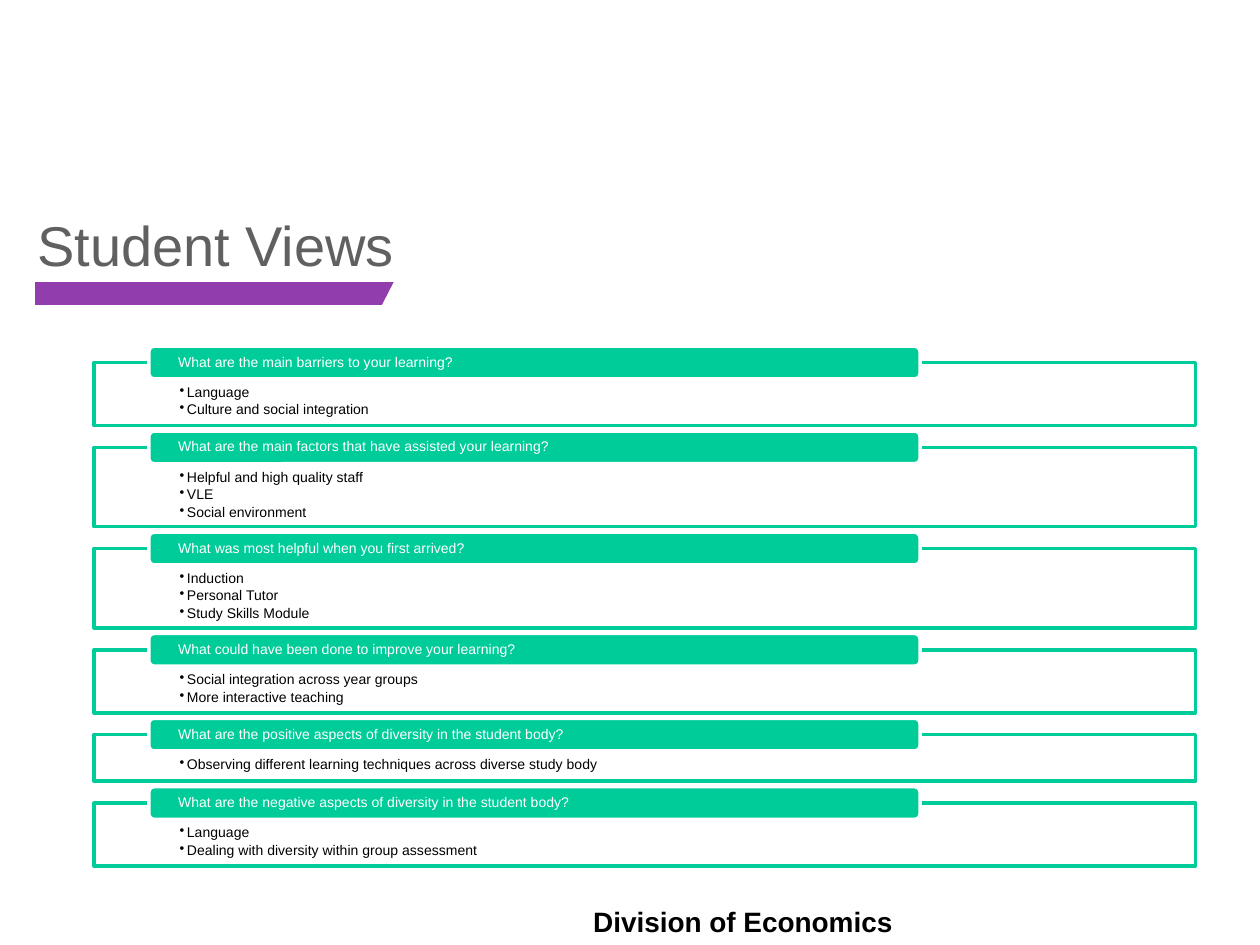
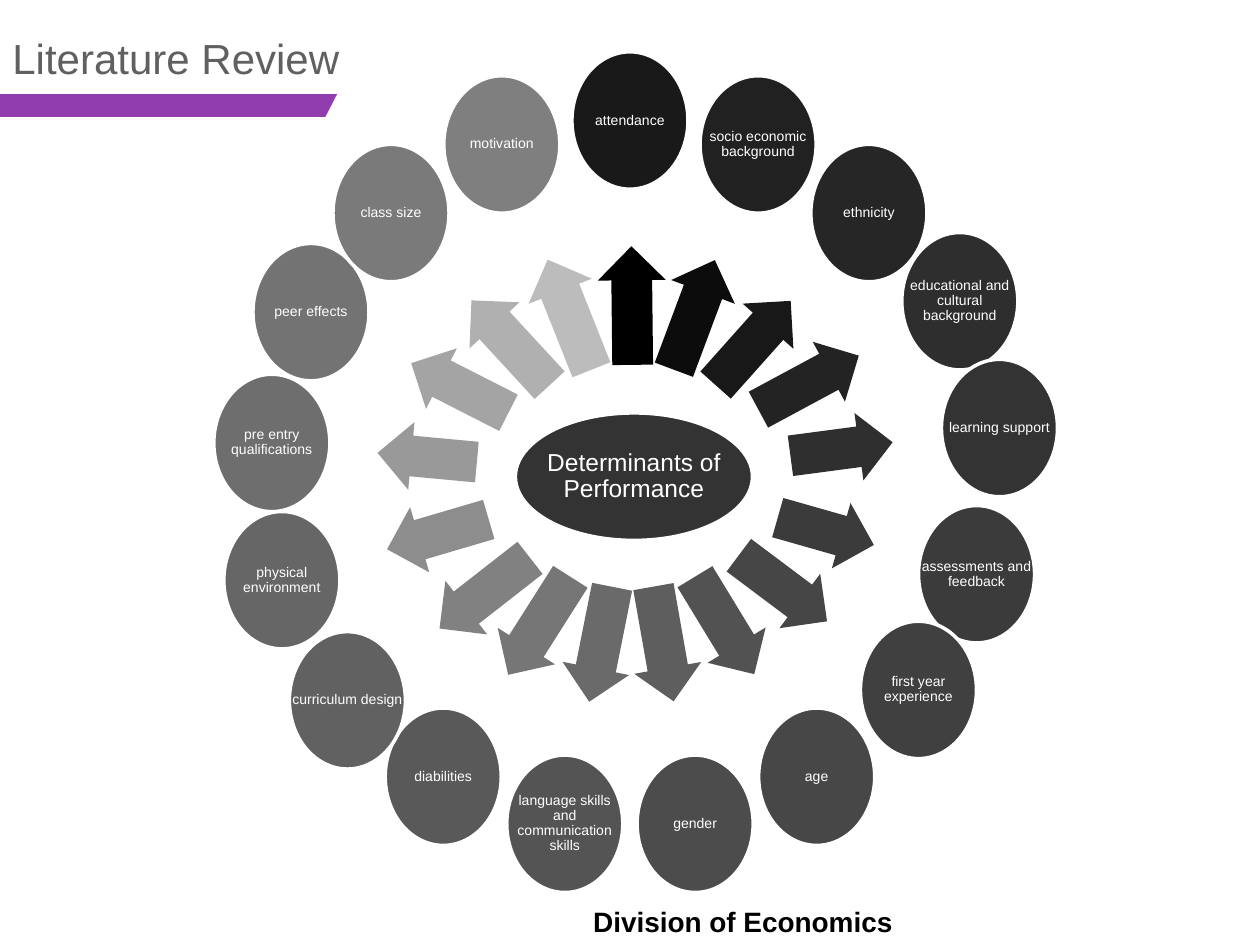
import math

import lxml.etree
import pptx
import pptx.dml.color
import pptx.enum.shapes
import pptx.enum.text
import pptx.oxml.ns
import pptx.util

Cm = pptx.util.Cm
Pt = pptx.util.Pt
SHAPE = pptx.enum.shapes.MSO_SHAPE
ALIGN = pptx.enum.text.PP_ALIGN
ANCHOR = pptx.enum.text.MSO_ANCHOR
qn = pptx.oxml.ns.qn

# Content
FOOTER = "Division of Economics"
VIEWS_TITLE = "Student Views"
VIEWS = [
    ("What are the main barriers to your learning?",
     ["Language", "Culture and social integration"]),
    ("What are the main factors that have assisted your learning?",
     ["Helpful and high quality staff", "VLE", "Social environment"]),
    ("What was most helpful when you first arrived?",
     ["Induction", "Personal Tutor", "Study Skills Module"]),
    ("What could have been done to improve your learning?",
     ["Social integration across year groups", "More interactive teaching"]),
    ("What are the positive aspects of diversity in the student body?",
     ["Observing different learning techniques across diverse study body"]),
    ("What are the negative aspects of diversity in the student body?",
     ["Language", "Dealing with diversity within group assessment"]),
]
REVIEW_TITLE = "Literature Review"
HUB = "Determinants of Performance"
# Each determinant, clockwise from the top, with its shift off the ring in cm
DETERMINANTS = [
    ("attendance", 0, 0),
    ("socio economic background", 0, 0),
    ("ethnicity", 0, 0),
    ("educational and cultural background", 0.25, -0.32),
    ("learning support", 0.33, -0.29),
    ("assessments and feedback", 0.11, 0.04),
    ("first year experience", 0.11, 0.02),
    ("age", 0, 0),
    ("gender", 0, 0),
    ("language skills and communication skills", 0, 0),
    ("diabilities", 0, 0),
    ("curriculum design", 0.01, 0.23),
    ("physical environment", -0.14, 0.16),
    ("pre entry qualifications", -0.1, 0.01),
    ("peer effects", -0.03, -0.1),
    ("class size", 0, 0),
    ("motivation", 0, 0),
]

# Shared look
WHITE, BLACK, TITLE_GREY = "FFFFFF", "000000", "606060"
PURPLE, GREEN = "923DAD", "00CC99"
FONT = {"name": "Arial", "bold": False}
SMALL = FONT | {"size": Pt(8)}
LINE_SPACING = 0.9


def colour(value):
    return pptx.dml.color.RGBColor.from_string(value)


def apply(target, values):
    for name, value in values.items():
        setattr(target, name, value)


def set_frame(frame, insets, anchor=ANCHOR.TOP):
    left, top, right, bottom = (Cm(inset) for inset in insets)
    apply(frame, {"word_wrap": True, "vertical_anchor": anchor,
                  "auto_size": pptx.enum.text.MSO_AUTO_SIZE.NONE,
                  "margin_left": left, "margin_top": top,
                  "margin_right": right, "margin_bottom": bottom})


def write(frame, lines, font, text_colour, layout=None, bullet=False):
    for index, line in enumerate(lines):
        paragraph = frame.paragraphs[0] if index == 0 else frame.add_paragraph()
        paragraph.text = line
        if bullet:
            properties = paragraph._p.get_or_add_pPr()
            properties.set("marL", str(Cm(0.15)))
            properties.set("indent", str(-Cm(0.15)))
            lxml.etree.SubElement(properties, qn("a:buChar"), char="•")
        apply(paragraph, {"alignment": ALIGN.LEFT} | (layout or {}))
        apply(paragraph.font, font)
        paragraph.font.color.rgb = colour(text_colour)


def add_shape(slide, kind, box, fill, line=None, width=2, opacity=100):
    shape = slide.shapes.add_shape(kind, *(Cm(length) for length in box))
    shape.shadow.inherit = False
    shape.fill.solid()
    shape.fill.fore_color.rgb = colour(fill)
    if opacity < 100:
        solid = shape._element.spPr.find(qn("a:solidFill"))
        lxml.etree.SubElement(solid[0], qn("a:alpha"), val=str(round(opacity * 1000)))
    if line:
        shape.line.color.rgb = colour(line)
        shape.line.width = Pt(width)
    else:
        shape.line.fill.background()
    return shape


def add_text(slide, box, insets, anchor, *content):
    text_box = slide.shapes.add_textbox(*(Cm(length) for length in box))
    set_frame(text_box.text_frame, insets, anchor)
    write(text_box.text_frame, *content)


def add_slide(presentation, title, title_box, size, band):
    """Slide with footer, title and the purple band cut off at a slant."""
    slide = presentation.slides.add_slide(presentation.slide_layouts[5])
    add_text(slide, (11.71, 18.11, 13.21, 0.94), (0.25, 0.13, 0.25, 0.13),
             ANCHOR.TOP, [FOOTER], FONT | {"size": Pt(16), "bold": True}, BLACK)

    heading = slide.shapes.title
    sides = ("left", "top", "width", "height")
    apply(heading, dict(zip(sides, (Cm(length) for length in title_box))))
    set_frame(heading.text_frame, (0.25, 0.13, 0.25, 0.13))
    write(heading.text_frame, [title], FONT | {"size": Pt(size)}, TITLE_GREY)

    left, right, middle = band
    bar = slide.shapes.add_connector(pptx.enum.shapes.MSO_CONNECTOR.STRAIGHT,
                                     Cm(left), Cm(middle), Cm(right), Cm(middle))
    bar.line.color.rgb = colour(PURPLE)
    bar.line.width = Pt(13)
    lxml.etree.SubElement(bar._element.spPr, qn("a:effectLst"))
    cut = add_shape(slide, SHAPE.ISOSCELES_TRIANGLE,
                    (right - 0.35, middle - 0.6, 0.8, 1.19), WHITE, WHITE, 0.75)
    cut.rotation = 8.6
    return slide


def add_views(slide):
    """Stack of framed lists, each as tall as its answers need."""
    top, gap, header_height = 7.31, 0.44, 0.66
    for question, answers in VIEWS:
        height = 0.61 + 0.33 * len(answers)
        frame = add_shape(slide, SHAPE.RECTANGLE, (1.9, top, 22.2, height),
                          WHITE, GREEN, opacity=90)
        set_frame(frame.text_frame, (1.72, 0.46, 1.72, 0.14))
        write(frame.text_frame, answers, SMALL, BLACK,
              {"line_spacing": LINE_SPACING, "space_after": Pt(1.4)}, bullet=True)

        header = add_shape(slide, SHAPE.ROUNDED_RECTANGLE,
                           (3, top - header_height / 2, 15.55, header_height),
                           GREEN, WHITE)
        set_frame(header.text_frame, (0.56, 0, 0.56, 0), ANCHOR.MIDDLE)
        write(header.text_frame, [question], SMALL, WHITE,
              {"line_spacing": LINE_SPACING})
        top += height + gap


def centred(x, y, width, height):
    return x - width / 2, y - height / 2, width, height


def ellipse_reach(size, angle):
    """Distance from an ellipse's centre to its edge at an angle."""
    width, height = size
    return 0.5 / math.hypot(math.cos(angle) / width, math.sin(angle) / height)


def add_ellipse(slide, centre, size, opacity, text, font, inset):
    box = centred(*centre, *size)
    add_shape(slide, SHAPE.OVAL, box, BLACK, WHITE, opacity=opacity)
    add_text(slide, box, (inset,) * 4, ANCHOR.MIDDLE, [text], font, WHITE,
             {"alignment": ALIGN.CENTER, "line_spacing": LINE_SPACING})


def add_determinants(slide):
    """Hub with arrows pointing out to a ring of ellipses that fade clockwise."""
    hub_centre, hub_size = (12.78, 9.61), (4.78, 2.57)
    ring_centre, ring_radius, bubble_size = (12.7, 9.58), 7.15, (2.34, 2.77)
    last = len(DETERMINANTS) - 1
    add_ellipse(slide, hub_centre, hub_size, 80, HUB, FONT | {"size": Pt(14)}, 0.05)

    for index, (name, shift_x, shift_y) in enumerate(DETERMINANTS):
        turn = math.tau * index / len(DETERMINANTS)
        x = ring_centre[0] + ring_radius * math.sin(turn) + shift_x
        y = ring_centre[1] - ring_radius * math.cos(turn) + shift_y

        # The arrow fills about half of the gap between hub and ellipse
        dx, dy = x - hub_centre[0], y - hub_centre[1]
        angle = math.atan2(dy, dx)
        start = ellipse_reach(hub_size, angle)
        gap = math.hypot(dx, dy) - start - ellipse_reach(bubble_size, angle)
        reach = start + 0.48 * gap
        arrow_box = centred(hub_centre[0] + reach * math.cos(angle),
                            hub_centre[1] + reach * math.sin(angle), 0.53 * gap, 1.37)
        grey = f"{round(188 * index / last):02X}" * 3
        arrow = add_shape(slide, SHAPE.RIGHT_ARROW, arrow_box, grey)
        arrow.adjustments[0], arrow.adjustments[1] = 0.6, 0.5
        arrow.rotation = math.degrees(angle) % 360

        add_ellipse(slide, (x, y), bubble_size, 90 - 40 * index / last,
                    name, SMALL, 0.03)


def main():
    presentation = pptx.Presentation()
    presentation.slide_width, presentation.slide_height = Cm(25.4), Cm(19.05)
    add_views(add_slide(presentation, VIEWS_TITLE, (0.5, 4.11, 14.2, 1.63), 32,
                        (0.71, 8, 5.92)))
    add_determinants(add_slide(presentation, REVIEW_TITLE, (0, 0.53, 14.2, 1.27), 24,
                               (0, 6.86, 2.13)))
    presentation.save("out.pptx")


if __name__ == "__main__":
    main()
